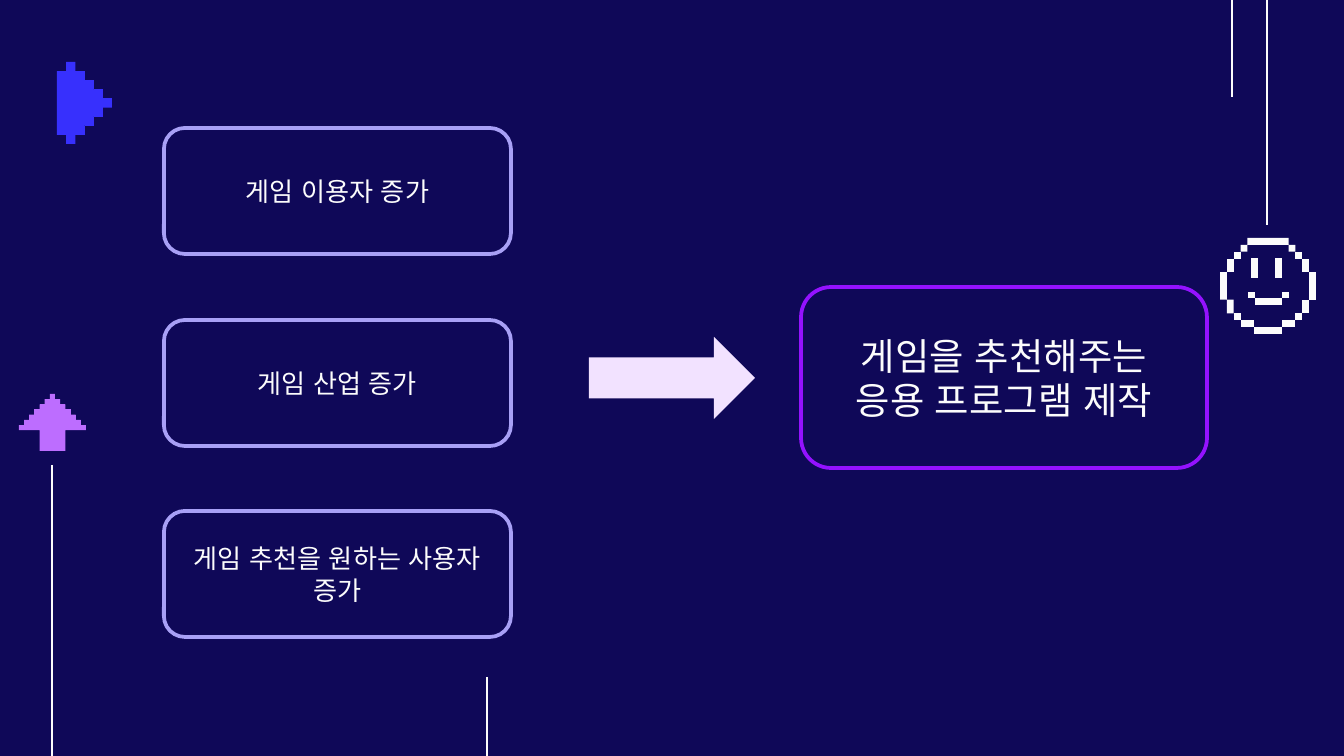
from dataclasses import dataclass

from lxml import etree
from pptx import Presentation
from pptx.dml.color import RGBColor
from pptx.enum.lang import MSO_LANGUAGE_ID
from pptx.enum.shapes import MSO_CONNECTOR, MSO_SHAPE
from pptx.enum.text import MSO_ANCHOR, PP_ALIGN
from pptx.oxml.ns import qn
from pptx.slide import Slide
from pptx.util import Emu, Pt

SLIDE_W, SLIDE_H = 1344, 756
EMU_PER_PX = 9144000 / SLIDE_W

NAVY = RGBColor(0x0F, 0x08, 0x58)
WHITE = RGBColor(0xFC, 0xFC, 0xFC)
BLUE = RGBColor(0x37, 0x30, 0xFD)
ORCHID = RGBColor(0xBD, 0x6D, 0xFF)
PALE_LILAC = RGBColor(0xF2, 0xE2, 0xFF)
LAVENDER = RGBColor(0xA8, 0xA0, 0xF6)
PURPLE = RGBColor(0x94, 0x12, 0xFF)

FONT = "Arial"
KOREAN = MSO_LANGUAGE_ID.KOREAN
ROUNDED = MSO_SHAPE.ROUNDED_RECTANGLE
RIGHT_ARROW = MSO_SHAPE.RIGHT_ARROW
STRAIGHT = MSO_CONNECTOR.STRAIGHT
MIDDLE = MSO_ANCHOR.MIDDLE
CENTER = PP_ALIGN.CENTER

Contour = list[tuple[int, int]]
Piece = list[Contour]


@dataclass(frozen=True)
class Card:
    text: str
    left: int
    top: int
    width: int
    height: int
    border: RGBColor
    font_pt: int


@dataclass(frozen=True)
class Stem:
    x: int
    top: int
    bottom: int


@dataclass(frozen=True)
class PixelIcon:
    left: int
    top: int
    width: int
    height: int
    columns: int
    rows: int
    color: RGBColor
    pieces: list[Piece]


def px(length: float) -> Emu:
    return Emu(round(length * EMU_PER_PX))


def silhouette(spans: list[tuple[int, int]]) -> Contour:
    """Stepped outline around one (start, end) column span per row."""
    right = [(end, y + d) for y, (_, end) in enumerate(spans) for d in (0, 1)]
    left = [(start, y + d) for y, (start, _) in enumerate(spans) for d in (0, 1)]
    return right + left[::-1]


def block(left: int, top: int, right: int, bottom: int) -> Contour:
    return [(left, top), (right, top), (right, bottom), (left, bottom)]


def draw_piece(slide: Slide, icon: PixelIcon, piece: Piece) -> None:
    scale = (px(icon.width) / icon.columns, px(icon.height) / icon.rows)
    builder = slide.shapes.build_freeform(*piece[0][0], scale=scale)
    for contour in piece:
        if contour is not piece[0]:
            builder.move_to(*contour[0])
        builder.add_line_segments(contour[1:], close=True)
    shape = builder.convert_to_shape(px(icon.left), px(icon.top))
    shape.shadow.inherit = False
    shape.fill.solid()
    shape.fill.fore_color.rgb = icon.color
    shape.line.fill.background()


def draw_stem(slide: Slide, stem: Stem) -> None:
    line = slide.shapes.add_connector(
        STRAIGHT, px(stem.x), px(stem.top), px(stem.x), px(stem.bottom))
    line.line.color.rgb = WHITE
    line.line.width = Pt(1.5)
    etree.SubElement(line._element.spPr, qn("a:effectLst"))


def draw_card(slide: Slide, card: Card) -> None:
    shape = slide.shapes.add_shape(
        ROUNDED, px(card.left), px(card.top), px(card.width), px(card.height))
    shape.shadow.inherit = False
    shape.fill.background()
    shape.line.color.rgb = card.border
    shape.line.width = Pt(2)
    frame = shape.text_frame
    frame.text = card.text
    frame.word_wrap = True
    frame.vertical_anchor = MIDDLE
    frame.margin_left = frame.margin_right = px(16)
    paragraph = frame.paragraphs[0]
    paragraph.alignment = CENTER
    font = paragraph.runs[0].font
    font.name = FONT
    font.size = Pt(card.font_pt)
    font.color.rgb = WHITE
    font.language_id = KOREAN
    # Hangul takes the East Asian typeface
    for script in ("a:ea", "a:cs"):
        etree.SubElement(font._element, qn(script), typeface=FONT)


def draw_arrow(slide: Slide, left: int, top: int, width: int, height: int) -> None:
    arrow = slide.shapes.add_shape(
        RIGHT_ARROW, px(left), px(top), px(width), px(height))
    arrow.shadow.inherit = False
    arrow.fill.solid()
    arrow.fill.fore_color.rgb = PALE_LILAC
    arrow.line.fill.background()


# Play icon: body, stepped right edge, left edge
PLAY_SPANS = [(1, 2), (0, 3), (0, 4), (0, 5), (0, 6),
              (0, 5), (0, 4), (0, 3), (1, 2)]
PLAY = [[silhouette(PLAY_SPANS)], [block(0, 1, 1, 8)]]
PLAY += [[block(end - 1, y, end, y + 1)] for y, (_, end) in enumerate(PLAY_SPANS)]

# Up icon: body, tip, foot, then mirrored edges
UP_SPANS = [(6 - row, 7 + row) for row in range(7)] + [(4, 9)] * 4
UP_EDGE = [(6 - row, row, 7 - row, row + 1) for row in range(1, 6)]
UP_EDGE += [(0, 6, 5, 7), (4, 7, 5, 11)]
UP = [[silhouette(UP_SPANS)], [block(6, 0, 7, 1)], [block(4, 10, 9, 11)]]
for l, t, r, b in UP_EDGE:
    UP += [[block(l, t, r, b)], [block(13 - r, t, 13 - l, b)]]

# Smile icon: crown and chin, then mirrored sides
FACE_SIDE = [(2, 2, 3, 3), (1, 3, 2, 5), (2, 11, 3, 12), (3, 12, 5, 13)]
FACE = [[block(4, 0, 10, 1), block(3, 1, 4, 2), block(10, 1, 11, 2)],
        [block(5, 13, 9, 14)],
        [block(0, 5, 1, 9), block(1, 9, 2, 11)],
        [block(13, 5, 14, 9)], [block(12, 9, 13, 11)]]
for l, t, r, b in FACE_SIDE:
    FACE += [[block(l, t, r, b)], [block(14 - r, t, 14 - l, b)]]
EYES_AND_MOUTH = [[block(1, 0, 3, 3)], [block(8, 0, 10, 3)],
                  [block(0, 5, 2, 6)], [block(10, 5, 12, 6)],
                  [block(2, 6, 10, 7)]]

ICONS = [
    PixelIcon(57, 62, 55, 82, 6, 9, BLUE, PLAY),
    PixelIcon(1220, 238, 96, 96, 14, 14, WHITE, FACE),
    PixelIcon(1248, 258, 41, 47, 12, 7, WHITE, EYES_AND_MOUTH),
    PixelIcon(19, 394, 67, 57, 13, 11, ORCHID, UP),
]

STEMS = [Stem(1267, 0, 225), Stem(1232, 0, 97),
         Stem(487, 677, SLIDE_H), Stem(52, 465, SLIDE_H)]

# Causes on the left, conclusion on the right
CAUSES = ["게임 이용자 증가", "게임 산업 증가", "게임 추천을 원하는 사용자 증가"]
FIRST_TOP, LAST_TOP = 128, 511
PITCH = (LAST_TOP - FIRST_TOP) / (len(CAUSES) - 1)
CARDS = [Card(cause, 164, round(FIRST_TOP + i * PITCH), 347, 126, LAVENDER, 14)
         for i, cause in enumerate(CAUSES)]
CARDS.append(Card("게임을 추천해주는 응용 프로그램 제작",
                  801, 287, 406, 181, PURPLE, 20))


def main() -> None:
    prs = Presentation()
    prs.slide_width, prs.slide_height = px(SLIDE_W), px(SLIDE_H)
    slide = prs.slides.add_slide(prs.slide_layouts[6])
    slide.background.fill.solid()
    slide.background.fill.fore_color.rgb = NAVY

    # Decoration
    for stem in STEMS:
        draw_stem(slide, stem)
    for icon in ICONS:
        for piece in icon.pieces:
            draw_piece(slide, icon, piece)

    # Content
    draw_arrow(slide, 589, 337, 166, 82)
    for card in CARDS:
        draw_card(slide, card)

    prs.save("out.pptx")


if __name__ == "__main__":
    main()
